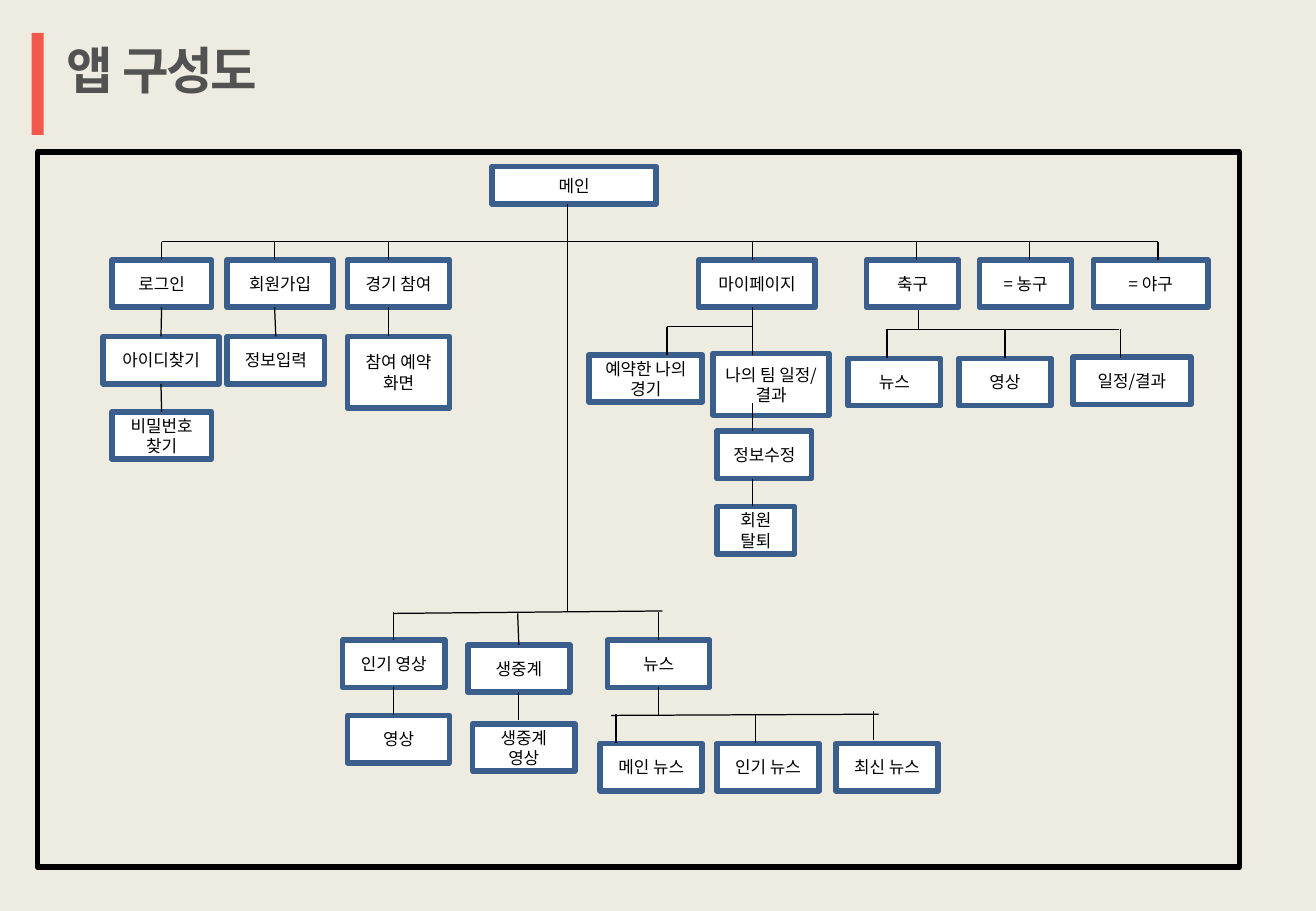
from pptx import Presentation
from pptx.dml.color import RGBColor
from pptx.enum.shapes import MSO_CONNECTOR as CONN, MSO_SHAPE as SHAPE
from pptx.enum.text import MSO_ANCHOR as ANCHOR, MSO_AUTO_SIZE as FIT, PP_ALIGN as ALIGN
from pptx.oxml.ns import qn
from pptx.util import Inches, Pt
from lxml.etree import SubElement


def rgb(value):
    return RGBColor.from_string(value)


class SiteMap:
    BACK, ACCENT, HEADING = "EEECE1", "F2584C", "525252"
    BOX_FILL, BOX_LINE, INK = "FFFFFF", "3A5F8C", "000000"
    BOX_FONT, TITLE_FONT = "Noto Sans CJK KR", "Arial"
    BOX_H, SNAP = 0.39, 0.02

    def __init__(self, prs):
        self.s = prs.slides.add_slide(prs.slide_layouts[6])
        self.s.background.fill.solid()
        self.s.background.fill.fore_color.rgb = rgb(self.BACK)
        self.boxes = []

    def rect(self, x, y, w, h, fill=None, line=None):
        sp = self.s.shapes.add_shape(SHAPE.RECTANGLE, Inches(x), Inches(y),
                                     Inches(w), Inches(h))
        sp.shadow.inherit = False
        if fill:
            sp.fill.solid()
            sp.fill.fore_color.rgb = rgb(fill)
        else:
            sp.fill.background()
        if line:
            sp.line.color.rgb = rgb(line)
            sp.line.width = Pt(3.35)
            SubElement(sp.line._get_or_add_ln(), qn("a:round"))
        else:
            sp.line.fill.background()
        return sp

    def font(self, p, name, size, color, bold=False, spacing=None):
        r = p.runs[0]
        r.font.name, r.font.size, r.font.bold = name, Pt(size), bold
        r.font.color.rgb = rgb(color)
        rpr = r._r.get_or_add_rPr()
        SubElement(rpr, qn("a:ea")).set("typeface", name)
        if spacing is not None:
            rpr.set("spc", str(int(spacing * 100)))

    def title(self, text, x, y, w, h):
        tf = self.s.shapes.add_textbox(Inches(x), Inches(y), Inches(w), Inches(h)).text_frame
        tf.word_wrap = False
        tf.auto_size = FIT.SHAPE_TO_FIT_TEXT
        tf.text = text
        self.font(tf.paragraphs[0], self.TITLE_FONT, 30, self.HEADING, True, -1.5)

    def box(self, text, x, y, w, h=BOX_H):
        sp = self.rect(x, y, w, h, self.BOX_FILL, self.BOX_LINE)
        tf = sp.text_frame
        tf.word_wrap = True
        tf.vertical_anchor = ANCHOR.MIDDLE
        tf.text = text
        p = tf.paragraphs[0]
        p.alignment = ALIGN.CENTER
        self.font(p, self.BOX_FONT, 10, self.INK)
        self.boxes.append((sp, x + w / 2, y, y + h))

    def row(self, y, items):
        for text, x, w in items:
            self.box(text, x, y, w)

    def line(self, x1, y1, x2, y2):
        c = self.s.shapes.add_connector(CONN.STRAIGHT, Inches(x1), Inches(y1),
                                        Inches(x2), Inches(y2))
        c.line.color.rgb = rgb(self.INK)
        c.line.width = Pt(0.75)
        SubElement(c._element.spPr, qn("a:effectLst"))
        # Join ends that meet the middle of a box's top or bottom
        for join, x, y in ((c.begin_connect, x1, y1), (c.end_connect, x2, y2)):
            for sp, mid, top, bottom in self.boxes:
                for site, edge in ((0, top), (2, bottom)):
                    if abs(x - mid) < self.SNAP and abs(y - edge) < self.SNAP:
                        join(sp, site)

    def drops(self, y1, y2, xs):
        for x in xs:
            self.line(x, y1, x, y2)


def main():
    prs = Presentation()
    prs.slide_width, prs.slide_height = Inches(10.83), Inches(7.5)
    site = SiteMap(prs)

    # Heading and frame
    site.rect(0.26, 0.27, 0.1, 0.84, site.ACCENT)
    site.title("앱 구성도", 0.45, 0.27, 1.93, 0.61)
    site.rect(0.31, 1.25, 9.89, 5.89, line=site.INK)

    # Main page and its sections
    site.box("메인", 4.05, 1.37, 1.35, 0.31)
    site.row(2.14, [("로그인", 0.92, 0.82), ("회원가입", 1.87, 0.87),
                    ("경기 참여", 2.86, 0.84), ("마이페이지", 5.75, 0.96),
                    ("축구", 7.13, 0.76), ("= 농구", 8.06, 0.76), ("= 야구", 9, 0.94)])

    # Account and booking pages
    site.row(2.77, [("아이디찾기", 0.85, 0.95), ("정보입력", 1.87, 0.8)])
    site.box("참여 예약 화면", 2.86, 2.77, 0.84, 0.59)
    site.box("비밀번호찾기", 0.92, 3.39, 0.82)

    # My page
    site.box("예약한 나의 경기", 4.85, 2.92, 0.93)
    site.box("나의 팀 일정/ 결과", 5.87, 2.91, 0.95, 0.51)
    site.box("정보수정", 5.9, 3.55, 0.78)
    site.box("회원 탈퇴", 5.9, 4.17, 0.64)

    # Football pages
    site.row(2.95, [("뉴스", 6.98, 0.76), ("영상", 7.89, 0.76)])
    site.box("일정/결과", 8.83, 2.94, 0.97)

    # Contents of the main page
    site.row(5.27, [("인기 영상", 2.82, 0.84), ("뉴스", 5, 0.84)])
    site.box("생중계", 3.85, 5.31, 0.84)
    site.box("영상", 2.86, 5.89, 0.84)
    site.box("생중계 영상", 3.89, 5.96, 0.84)
    site.row(6.12, [("메인 뉴스", 4.94, 0.84), ("인기 뉴스", 5.9, 0.84),
                    ("최신 뉴스", 6.88, 0.84)])

    # Lines from the main page to the sections
    site.line(4.67, 1.68, 4.67, 5.04)
    site.line(1.33, 1.99, 9.53, 1.99)
    site.drops(1.99, 2.14, [1.33, 2.26, 3.2, 6.19, 7.54, 8.47, 9.53])

    # Lines of the account pages
    site.drops(2.53, 2.77, [1.33, 2.26, 3.2])
    site.drops(3.16, 3.39, [1.33])

    # Lines of my page
    site.drops(2.53, 2.69, [6.19])
    site.line(5.49, 2.69, 6.19, 2.69)
    site.drops(2.69, 2.92, [5.49, 6.19])
    site.drops(3.32, 3.55, [6.19])
    site.drops(3.94, 4.17, [6.19])

    # Lines of the football pages
    site.drops(2.55, 2.71, [7.56])
    site.line(7.3, 2.71, 9.21, 2.71)
    site.drops(2.71, 2.95, [7.3, 8.27, 9.22])

    # Lines of the main page contents
    site.line(3.24, 5.05, 5.45, 5.03)
    site.drops(5.04, 5.27, [3.24, 5.42])
    site.drops(5.05, 5.3, [4.26])
    site.drops(5.66, 5.89, [3.24, 5.42])
    site.drops(5.7, 5.93, [4.27])

    # Lines of the news pages
    site.line(5.03, 5.89, 7.23, 5.88)
    site.drops(5.88, 6.12, [5.07, 6.22])
    site.drops(5.85, 6.09, [7.19])

    prs.save("out.pptx")


if __name__ == "__main__":
    main()
